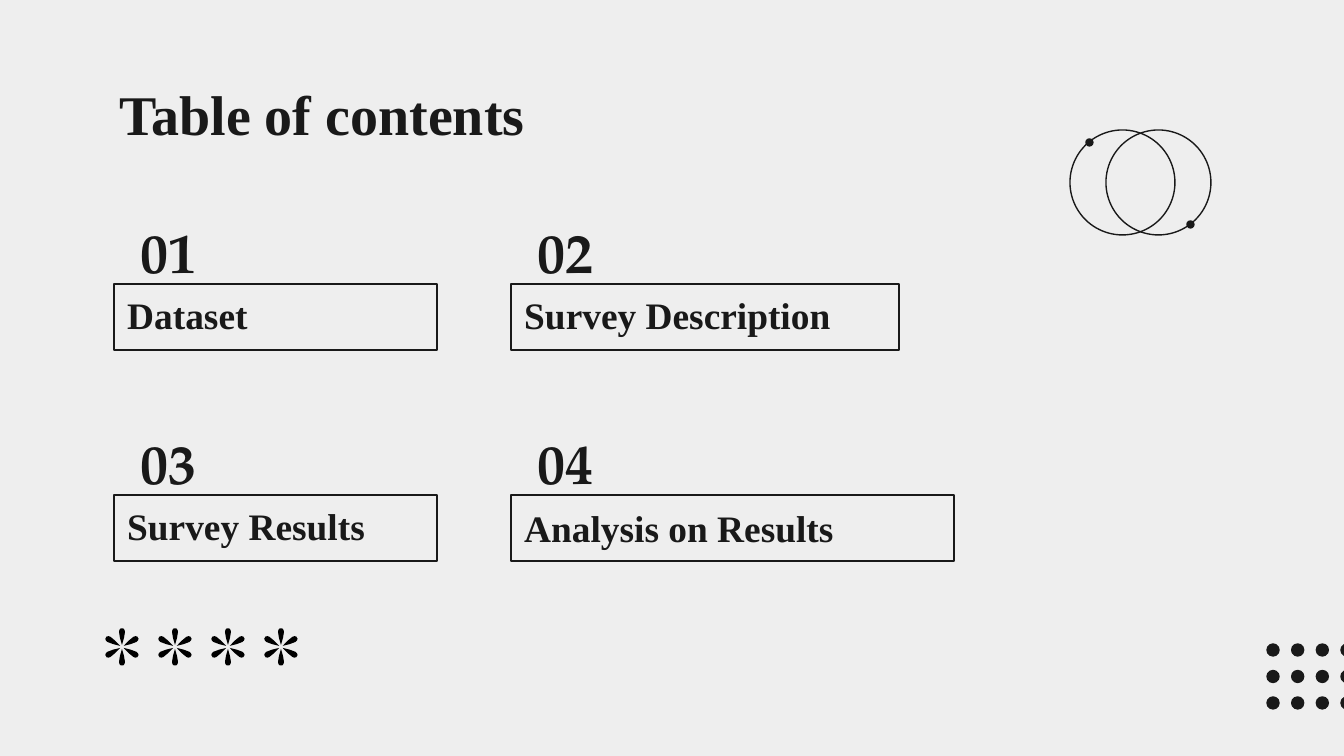
"""Build a table of contents slide with four numbered boxes and line ornaments."""
import math

import pptx
import pptx.dml.color
import pptx.enum.shapes
import pptx.enum.text
import pptx.util

SCALE = 914400 / 134.4
COLORS = {"page": "EEEEEE", "ink": "191919", "star": "000000"}
SERIF, DIGIT = "Times New Roman", "TeX Gyre Pagella"
ALIGN = pptx.enum.text.PP_ALIGN
ANCHOR = pptx.enum.text.MSO_ANCHOR
KINDS = pptx.enum.shapes.MSO_SHAPE

TITLE = "Table of contents"
ITEMS = [
    ("01", "Dataset", 323, ANCHOR.BOTTOM),
    ("02", "Survey Description", 388, ANCHOR.BOTTOM),
    ("03", "Survey Results", 323, ANCHOR.BOTTOM),
    ("04", "Analysis on Results", 443, ANCHOR.MIDDLE),
]
RINGS = [(1070, 130), (1106, 130)]
BEADS = [(1086, 139), (1187, 221)]
PETAL = [(0, 2), (2, 9), (3, 15), (2.6, 17), (1.3, 18.5),
         (-1.3, 18.5), (-2.6, 17), (-3, 15), (-2, 9)]


def emu(px):
    return pptx.util.Emu(round(px * SCALE))


def tint(name):
    return pptx.dml.color.RGBColor.from_string(COLORS[name])


def place(shape, x, y, w, h):
    shape.left, shape.top, shape.width, shape.height = map(emu, (x, y, w, h))


def write(shape, text, size=30, font=SERIF, align=ALIGN.LEFT, anchor=ANCHOR.TOP):
    frame = shape.text_frame
    frame.word_wrap = True
    frame.auto_size = pptx.enum.text.MSO_AUTO_SIZE.NONE
    frame.vertical_anchor = anchor
    frame.margin_left = frame.margin_right = pptx.util.Inches(0.1)
    frame.margin_top = frame.margin_bottom = pptx.util.Inches(0.1)
    para = frame.paragraphs[0]
    para.alignment = align
    run = para.add_run()
    run.text = text
    run.font.name, run.font.size, run.font.bold = font, pptx.util.Pt(size), True
    run.font.color.rgb = tint("ink")


def draw(slide, kind, x, y, w, h, fill=False):
    shape = slide.shapes.add_shape(kind, *map(emu, (x, y, w, h)))
    shape.shadow.inherit = False
    if fill:
        shape.fill.solid()
        shape.fill.fore_color.rgb = tint("ink")
    else:
        shape.fill.background()
    shape.line.color.rgb = tint("ink")
    shape.line.width = pptx.util.Pt(0.75)
    return shape


def star(slide, x, y):
    for step in range(6):
        turn = math.radians(60 * step)
        sin, cos = math.sin(turn), math.cos(turn)
        points = [(emu(x + a * cos - b * sin), emu(y + a * sin + b * cos))
                  for a, b in PETAL]
        path = slide.shapes.build_freeform(*points[0])
        path.add_line_segments(points[1:], close=True)
        petal = path.convert_to_shape()
        petal.shadow.inherit = False
        petal.fill.solid()
        petal.fill.fore_color.rgb = tint("star")
        petal.line.fill.background()


def main():
    deck = pptx.Presentation()
    deck.slide_width, deck.slide_height = emu(1344), emu(756)
    slide = deck.slides.add_slide(deck.slide_layouts[5])
    slide.background.fill.solid()
    slide.background.fill.fore_color.rgb = tint("page")

    for col in range(4):
        for row in range(3):
            draw(slide, KINDS.OVAL, 1267 + col * 74 / 3, 644 + row * 53 / 2,
                 12, 12, fill=True)

    place(slide.shapes.title, 106, 66, 1133, 85)
    write(slide.shapes.title, TITLE)

    for index, (number, label, width, anchor) in enumerate(ITEMS):
        row, col = divmod(index, 2)
        x, y = 114 + 397 * col, 218 + 211 * row
        box = slide.shapes.add_textbox(*map(emu, (x, y, 108, 66)))
        write(box, number, font=DIGIT, align=ALIGN.CENTER, anchor=ANCHOR.MIDDLE)
        frame = draw(slide, KINDS.RECTANGLE, x, y + 66, width, 66)
        write(frame, label, size=20, anchor=anchor)

    for x, y in RINGS:
        draw(slide, KINDS.OVAL, x, y, 105, 105)
    for x, y in BEADS:
        draw(slide, KINDS.OVAL, x, y, 7, 7, fill=True)
    for step in range(4):
        star(slide, 122 + 53 * step, 647)

    deck.save("out.pptx")


if __name__ == "__main__":
    main()
